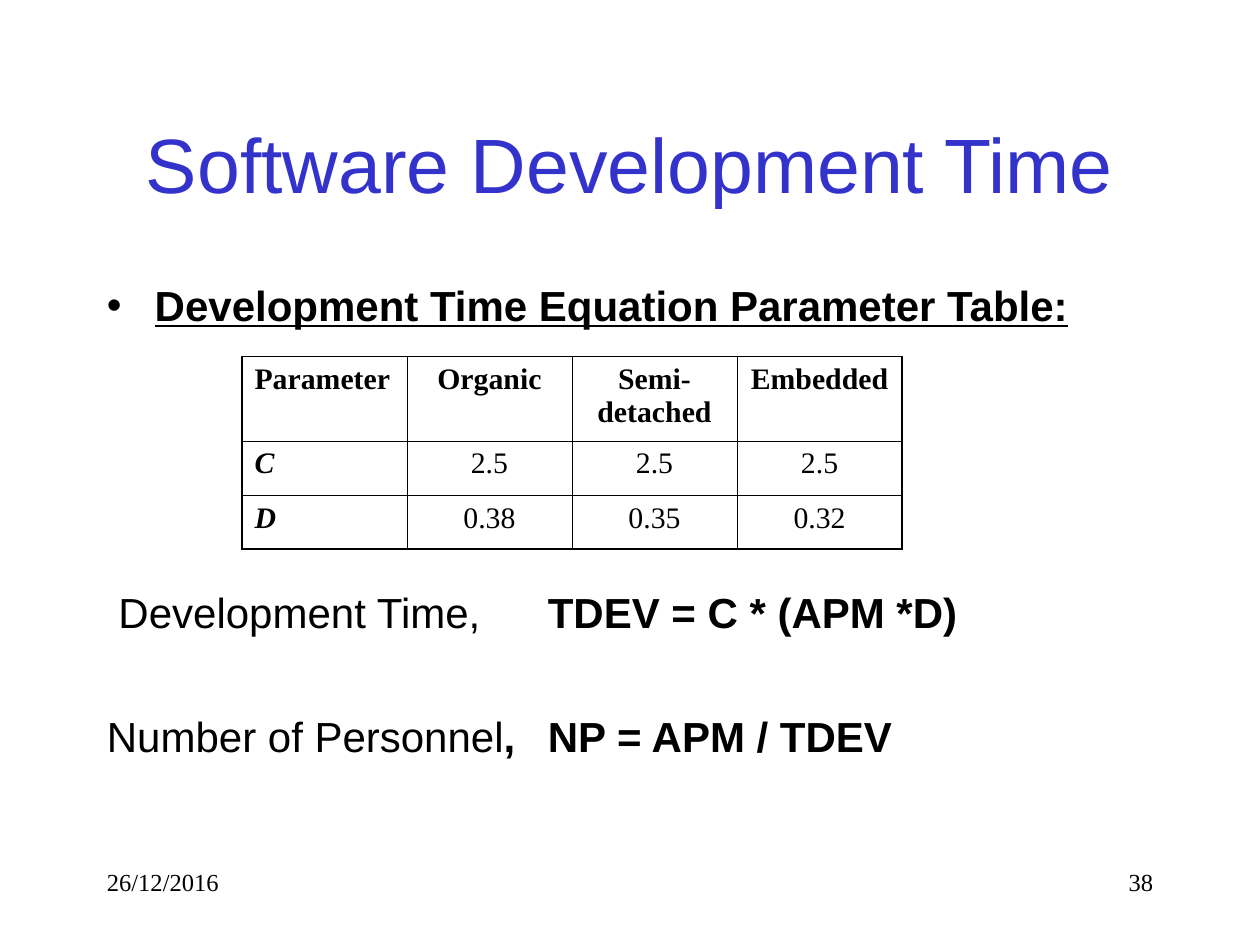
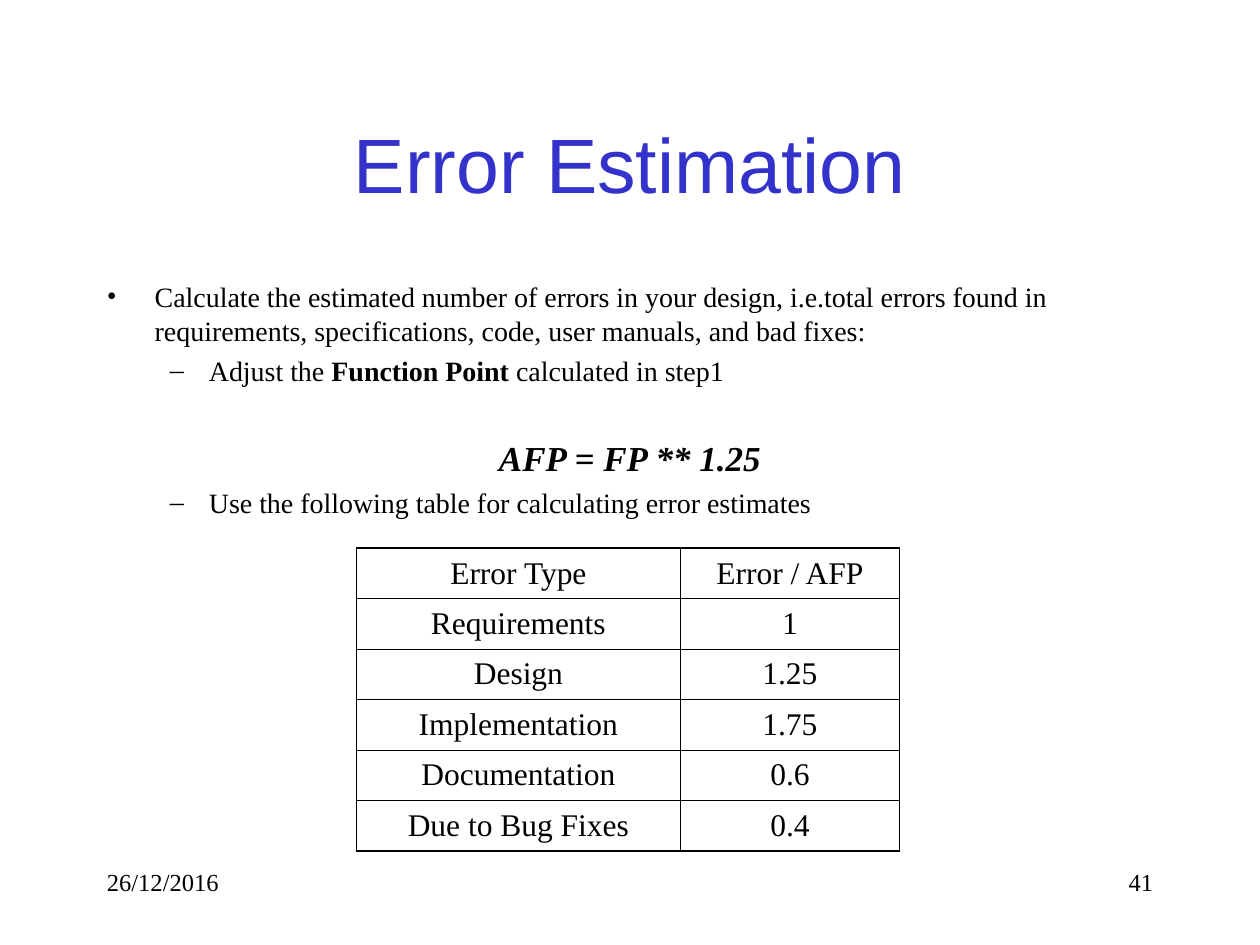
from lxml.etree import SubElement
from pptx import Presentation
from pptx.dml.color import RGBColor
from pptx.enum.text import MSO_ANCHOR, PP_ALIGN
from pptx.oxml.ns import qn
from pptx.util import Inches, Pt

COLORS = {"title": "3333CC", "text": "000000"}
SANS, SERIF = "Arial", "Times New Roman"
LEFT, CENTER, RIGHT = PP_ALIGN.LEFT, PP_ALIGN.CENTER, PP_ALIGN.RIGHT
OUTER, INNER = 1.08, 0.45  # table rules in points

# Text is a list of (words, style) runs; B bold, I italic, U underlined
SLIDES = [
    {
        "title": "Software Development Time",
        "number": "38",
        "body_font": SANS,
        "body": [
            dict(text=[("Development Time Equation Parameter Table:", "BU")],
                 size=24, before=6, bullet="•", margin=0.38, hang=0.38),
            dict(text=[(" Development Time, \t", ""), ("TDEV = C * (APM *D)", "B")],
                 size=24, before=146.5, tab=3.38),
            dict(text=[("Number of Personnel", ""), (", \tNP = APM / TDEV", "B")],
                 size=24, before=42, tab=3.38),
        ],
        "table": {
            "at": (1.92, 2.83), "cols": [1.31] * 4, "rows": [0.67, 0.43, 0.43],
            "size": 17, "anchor": MSO_ANCHOR.TOP,
            "first_align": LEFT, "header": "B", "first_col": "BI",
            "data": [
                ("Parameter", "Organic", "Semi-detached", "Embedded"),
                ("C", "2.5", "2.5", "2.5"),
                ("D", "0.38", "0.35", "0.32"),
            ],
        },
    },
    {
        "title": "Error Estimation",
        "number": "41",
        "body_font": SERIF,
        "body": [
            dict(text=[("Calculate the estimated number of errors in your design, "
                        "i.e.total errors found in requirements, specifications, "
                        "code, user manuals, and bad fixes:", "")],
                 size=16, before=4, bullet="•", margin=0.38, hang=0.38),
            dict(text=[("Adjust the ", ""), ("Function Point", "B"),
                       (" calculated in step1", "")],
                 size=16, before=4, bullet="–", margin=0.81, hang=0.31),
            dict(text=[("AFP = FP ** 1.25", "BI")], size=20, before=28, align=CENTER),
            dict(text=[("Use the following table for calculating error estimates", "")],
                 size=16, before=4, bullet="–", margin=0.81, hang=0.31),
        ],
        "table": {
            "at": (2.83, 4.35), "cols": [2.57, 1.74], "rows": [0.4] * 6,
            "size": 18, "anchor": MSO_ANCHOR.MIDDLE,
            "first_align": CENTER, "header": "", "first_col": "",
            "data": [
                ("Error Type", "Error / AFP"),
                ("Requirements", "1"),
                ("Design", "1.25"),
                ("Implementation", "1.75"),
                ("Documentation", "0.6"),
                ("Due to Bug Fixes", "0.4"),
            ],
        },
    },
]


def write(p, text, *, font=SERIF, size=14, color="text", align=LEFT,
          before=0, bullet=None, margin=0, hang=0, tab=None):
    """Fill a paragraph with a string or with (words, style) runs."""
    p.alignment, p.space_before = align, Pt(before)
    pPr = p._p.get_or_add_pPr()
    pPr.set("marL", str(Inches(margin)))
    pPr.set("indent", str(-Inches(hang)))
    if bullet:
        SubElement(pPr, qn("a:buFont"), typeface=font)
        SubElement(pPr, qn("a:buChar"), char=bullet)
    else:
        SubElement(pPr, qn("a:buNone"))
    if tab:
        tabs = SubElement(pPr, qn("a:tabLst"))
        SubElement(tabs, qn("a:tab"), pos=str(Inches(tab)), algn="l")
    for words, style in [(text, "")] if isinstance(text, str) else text:
        r = p.add_run()
        r.text = words
        f = r.font
        f.name, f.size = font, Pt(size)
        f.bold, f.italic, f.underline = (c in style for c in "BIU")
        f.color.rgb = RGBColor.from_string(COLORS[color])


def add_textbox(s, left, top, width, height):
    tf = s.shapes.add_textbox(*map(Inches, (left, top, width, height))).text_frame
    tf.word_wrap = True
    return tf


def add_title(s, text):
    sp = s.shapes.title
    sp.left, sp.top, sp.width, sp.height = map(Inches, (0.75, 0.67, 8.5, 1.25))
    sp.text_frame.vertical_anchor = MSO_ANCHOR.MIDDLE
    write(sp.text_frame.paragraphs[0], text, font=SANS, size=44,
          color="title", align=CENTER)


def add_body(s, paragraphs, font):
    tf = add_textbox(s, 0.75, 2.17, 8.5, 4.5)
    for i, item in enumerate(paragraphs):
        p = tf.add_paragraph() if i else tf.paragraphs[0]
        write(p, font=font, **item)


def add_footer(s, number):
    for left, text, align in ((0.75, "26/12/2016", LEFT), (7.17, number, RIGHT)):
        tf = add_textbox(s, left, 6.83, 2.08, 0.5)
        write(tf.paragraphs[0], text, align=align)


def set_borders(cell, outer_sides):
    tcPr = cell._tc.get_or_add_tcPr()
    for i, side in enumerate("LRTB"):
        width = OUTER if side in outer_sides else INNER
        ln = SubElement(tcPr, qn("a:ln" + side), w=str(Pt(width)))
        fill = SubElement(ln, qn("a:solidFill"))
        SubElement(fill, qn("a:srgbClr"), val=COLORS["text"])
        tcPr.insert(i, ln)


def add_table(s, spec):
    cols, rows = spec["cols"], spec["rows"]
    box = (*spec["at"], sum(cols), sum(rows))
    table = s.shapes.add_table(len(rows), len(cols), *map(Inches, box)).table
    for col, width in zip(table.columns, cols):
        col.width = Inches(width)
    for row, height in zip(table.rows, rows):
        row.height = Inches(height)
    for r, values in enumerate(spec["data"]):
        for c, value in enumerate(values):
            cell = table.cell(r, c)
            cell.fill.background()
            cell.vertical_anchor = spec["anchor"]
            style = spec["header"] if r == 0 else spec["first_col"] if c == 0 else ""
            write(cell.text_frame.paragraphs[0], [(value, style)], size=spec["size"],
                  align=spec["first_align"] if c == 0 else CENTER)
            edges = {"L": c == 0, "R": c == len(cols) - 1,
                     "T": r == 0, "B": r == len(rows) - 1}
            set_borders(cell, [side for side, outer in edges.items() if outer])


def main():
    prs = Presentation()
    prs.slide_width, prs.slide_height = Inches(10), Inches(7.5)
    for content in SLIDES:
        s = prs.slides.add_slide(prs.slide_layouts[5])
        add_footer(s, content["number"])
        add_title(s, content["title"])
        add_body(s, content["body"], content["body_font"])
        add_table(s, content["table"])
    prs.save("out.pptx")


if __name__ == "__main__":
    main()
